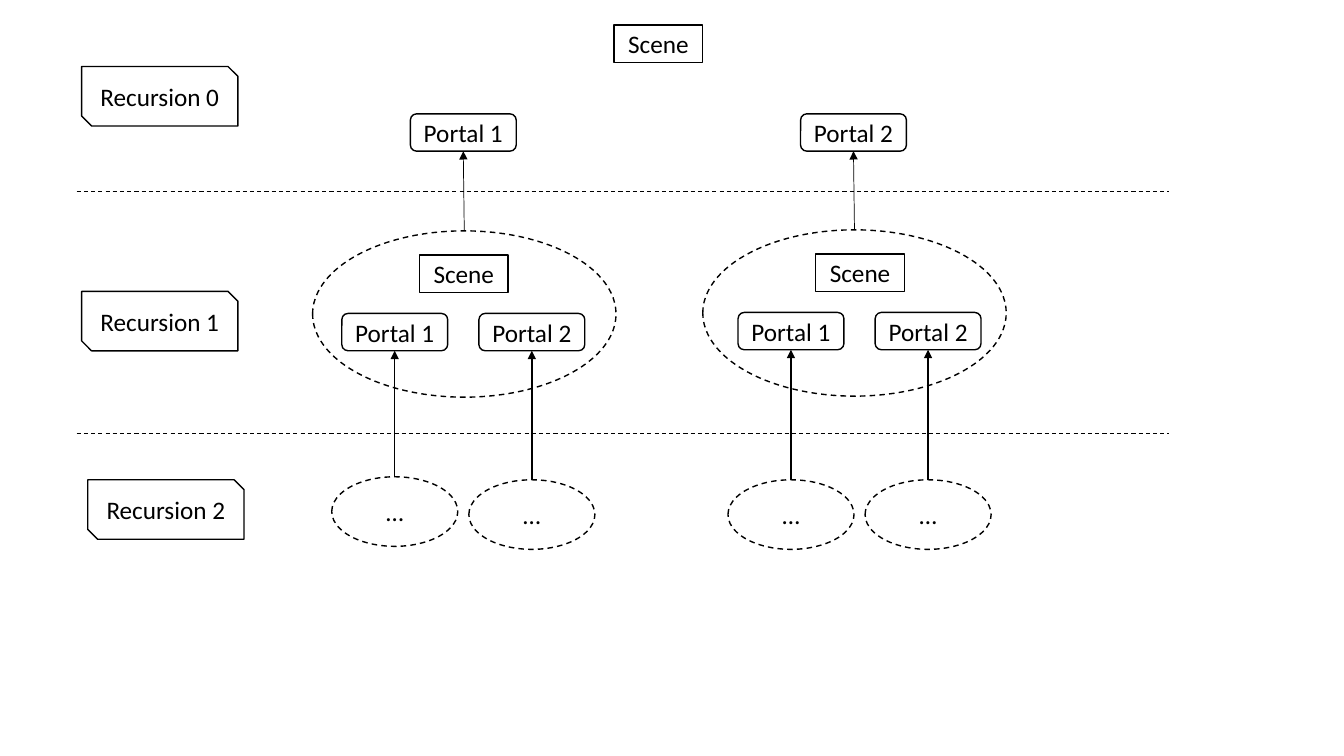
from lxml.etree import SubElement
from pptx import Presentation
from pptx.dml.color import RGBColor
from pptx.enum.dml import MSO_LINE
from pptx.enum.shapes import MSO_CONNECTOR, MSO_SHAPE
from pptx.enum.text import MSO_ANCHOR, PP_ALIGN
from pptx.oxml.ns import qn
from pptx.util import Inches, Pt

BLACK = RGBColor(0x00, 0x00, 0x00)
WHITE = RGBColor(0xFF, 0xFF, 0xFF)
FONT = "Calibri"

SCENE_SIZE = (0.88, 0.37)
PORTAL_SIZE = (1.05, 0.37)
LEVEL_SIZE = (1.55, 0.59)
WORLD_SIZE = (3.01, 1.65)
DEEPER_SIZE = (1.25, 0.69)
PORTAL_STEP = 1.36


def add_node(slide, preset, left, top, size, label="", dashed=False):
    """Add a white, black-edged shape with a centred label."""
    node = slide.shapes.add_shape(
        preset, Inches(left), Inches(top), *map(Inches, size))
    node.shadow.inherit = False
    node.fill.solid()
    node.fill.fore_color.rgb = WHITE
    node.line.color.rgb = BLACK
    node.line.width = Pt(1)
    if dashed:
        node.line.dash_style = MSO_LINE.DASH
    if label:
        frame = node.text_frame
        frame.text = label
        frame.vertical_anchor = MSO_ANCHOR.MIDDLE
        paragraph = frame.paragraphs[0]
        paragraph.alignment = PP_ALIGN.CENTER
        font = paragraph.runs[0].font
        font.name, font.size = FONT, Pt(18)
        font.color.rgb = BLACK
    return node


def add_line(slide, start, end, width):
    """Add a plain black straight line between two points in inches."""
    line = slide.shapes.add_connector(
        MSO_CONNECTOR.STRAIGHT, *map(Inches, (*start, *end)))
    line.line.color.rgb = BLACK
    line.line.width = Pt(width)
    SubElement(line._element.spPr, qn("a:effectLst"))
    return line


def add_arrow(slide, world, portal, width):
    """Join the top of a world to the bottom of the portal that shows it."""
    arrow = add_line(slide, (0, 0), (0, 0), width)
    arrow.begin_connect(world, 0)
    arrow.end_connect(portal, 2)
    outline = arrow.line._get_or_add_ln()
    SubElement(outline, qn("a:tailEnd"), type="triangle")


def add_scene(slide, left, top):
    """Add a scene box."""
    add_node(slide, MSO_SHAPE.RECTANGLE, left, top, SCENE_SIZE, "Scene")


def add_portal(slide, left, top, number):
    """Add a numbered portal box."""
    return add_node(slide, MSO_SHAPE.ROUNDED_RECTANGLE, left, top,
                    PORTAL_SIZE, f"Portal {number}")


def add_branch(slide, left, top, inset, outer_portal, deeper_tops):
    """Add the world seen through a portal and the deeper worlds below it."""
    world = add_node(slide, MSO_SHAPE.OVAL, left, top, WORLD_SIZE, dashed=True)
    add_arrow(slide, world, outer_portal, 0.5)
    inner_left = left + inset
    add_scene(slide, inner_left + 0.77, top + 0.24)
    for index, deeper_top in enumerate(deeper_tops):
        portal_left = inner_left + index * PORTAL_STEP
        portal = add_portal(slide, portal_left, top + 0.82, index + 1)
        deeper = add_node(slide, MSO_SHAPE.OVAL, portal_left - 0.1,
                          top + deeper_top, DEEPER_SIZE, "…", dashed=True)
        add_arrow(slide, deeper, portal, 1)


def add_levels(slide, left):
    """Add the recursion labels and the dashed lines between the levels."""
    for level, (indent, top) in enumerate(
            [(0.05, 0.66), (0.05, 2.89), (0.11, 4.76)]):
        add_node(slide, MSO_SHAPE.SNIP_2_DIAG_RECTANGLE, left + indent, top,
                 LEVEL_SIZE, f"Recursion {level}")
    for height in (1.9, 4.3):
        divider = add_line(slide, (left, height), (left + 10.83, height), 0.75)
        divider.line.dash_style = MSO_LINE.DASH


def build_recursion_slide(presentation):
    """Build the portal recursion diagram."""
    slide = presentation.slides.add_slide(presentation.slide_layouts[6])
    add_levels(slide, 0.76)
    add_scene(slide, 6.09, 0.25)
    first_portal = add_portal(slide, 4.07, 1.13, 1)
    second_portal = add_portal(slide, 7.94, 1.13, 2)
    add_branch(slide, 3.1, 2.29, 0.29, first_portal, (2.44, 2.47))
    add_branch(slide, 6.97, 2.28, 0.35, second_portal, (2.48, 2.48))


presentation = Presentation()
presentation.slide_width = Inches(13.33)
presentation.slide_height = Inches(7.5)
build_recursion_slide(presentation)
presentation.save("out.pptx")
